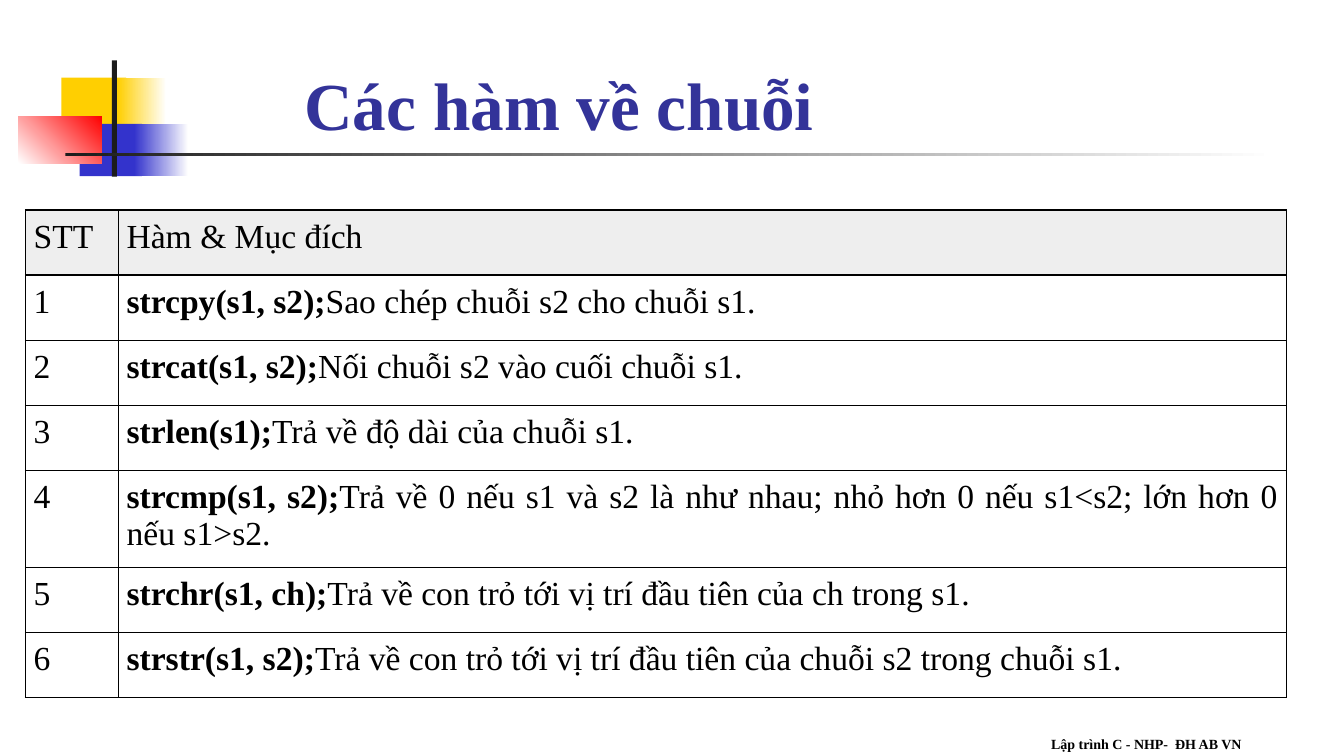
import pptx
import pptx.dml.color
import pptx.enum.shapes
import pptx.enum.text
import pptx.oxml
import pptx.oxml.ns
import pptx.util

Cm = pptx.util.Cm
ALIGN = pptx.enum.text.PP_ALIGN
ANCHOR = pptx.enum.text.MSO_ANCHOR

FUNCTIONS = [
    ("strcpy(s1, s2);", "Sao chép chuỗi s2 cho chuỗi s1."),
    ("strcat(s1, s2);", "Nối chuỗi s2 vào cuối chuỗi s1."),
    ("strlen(s1);", "Trả về độ dài của chuỗi s1."),
    ("strcmp(s1, s2);", "Trả về 0 nếu s1 và s2 là như nhau; nhỏ hơn 0 nếu s1<s2; lớn hơn 0 nếu s1>s2."),
    ("strchr(s1, ch);", "Trả về con trỏ tới vị trí đầu tiên của ch trong s1."),
    ("strstr(s1, s2);", "Trả về con trỏ tới vị trí đầu tiên của chuỗi s2 trong chuỗi s1."),
]

DECORATION = [
    ((1.55, 1.96, 1.63, 1.32), ["FFCF01"], 0),
    ((2.97, 1.96, 1.22, 1.32), ["FFCF01", "FFFFFF"], 0),
    ((2.01, 3.12, 1.57, 1.32), ["3333CC"], 0),
    ((3.38, 3.12, 1.37, 1.32), ["3333CC", "FFFFFF"], 0),
    ((0.46, 2.93, 2.1, 1.18), ["FFFFFF", "FF0000"], 45),
    ((2.82, 1.52, 0.13, 2.93), ["1C1C1C"], 0),
    ((1.65, 3.86, 30.48, 0.08), ["1C1C1C", "FFFFFF"], 0),
]


def color(value):
    return pptx.dml.color.RGBColor.from_string(value)


def write(paragraph, text, size=24, fill="000000", bold=False, font="Times New Roman", align=ALIGN.LEFT):
    paragraph.alignment = align
    run = paragraph.add_run()
    run.text = text
    run.font.name = font
    run.font.size = pptx.util.Pt(size)
    run.font.bold = bold
    run.font.color.rgb = color(fill)


class SlideBuilder:
    border = "000000"
    header_fill = "EEEEEE"
    cell_margin = Cm(0.21)

    def __init__(self, slide):
        self.slide = slide

    def block(self, box, colors, angle):
        shape = self.slide.shapes.add_shape(
            pptx.enum.shapes.MSO_SHAPE.RECTANGLE, *map(Cm, box))
        shape.shadow.inherit = False
        shape.line.fill.background()
        if len(colors) == 1:
            shape.fill.solid()
            shape.fill.fore_color.rgb = color(colors[0])
            return
        shape.fill.gradient()
        shape.fill.gradient_angle = angle
        for stop, value in zip(shape.fill.gradient_stops, colors):
            stop.color.rgb = color(value)

    def label(self, box, text, anchor=ANCHOR.TOP, **style):
        frame = self.slide.shapes.add_textbox(*map(Cm, box)).text_frame
        frame.word_wrap = True
        frame.vertical_anchor = anchor
        write(frame.paragraphs[0], text, **style)

    def cell(self, cell, runs, fill=None, align=ALIGN.LEFT):
        cell.margin_left = cell.margin_right = self.cell_margin
        cell.margin_top = cell.margin_bottom = self.cell_margin
        properties = cell._tc.get_or_add_tcPr()
        for side in "LRTB":
            properties.append(pptx.oxml.parse_xml(
                f'<a:ln{side} {pptx.oxml.ns.nsdecls("a")} w="12700"><a:solidFill>'
                f'<a:srgbClr val="{self.border}"/></a:solidFill></a:ln{side}>'))
        if fill:
            cell.fill.solid()
            cell.fill.fore_color.rgb = color(fill)
        else:
            cell.fill.background()
        for text, bold in runs:
            write(cell.text_frame.paragraphs[0], text, bold=bold, align=align)

    def function_table(self, left, top, widths, row_height, headers, functions):
        row_count = len(functions) + 1
        table = self.slide.shapes.add_table(
            row_count, len(widths), Cm(left), Cm(top),
            Cm(sum(widths)), Cm(row_height * row_count)).table
        table.first_row = table.horz_banding = False
        for column, width in zip(table.columns, widths):
            column.width = Cm(width)
        for row in table.rows:
            row.height = Cm(row_height)
        for index, header in enumerate(headers):
            self.cell(table.cell(0, index), [(header, False)], self.header_fill)
        for number, (call, purpose) in enumerate(functions, 1):
            self.cell(table.cell(number, 0), [(str(number), False)])
            self.cell(table.cell(number, 1), [(call, True), (purpose, False)], align=ALIGN.JUSTIFY)


def main():
    presentation = pptx.Presentation()
    presentation.slide_width = Cm(33.87)
    presentation.slide_height = Cm(19.05)
    builder = SlideBuilder(presentation.slides.add_slide(presentation.slide_layouts[6]))
    for box, colors, angle in DECORATION:
        builder.block(box, colors, angle)
    builder.label((26.24, 18.42, 7.34, 0.63), "Lập trình C - NHP-  ĐH AB VN", size=10, bold=True)
    builder.function_table(0.64, 5.29, [2.34, 29.44], 1.64, ["STT", "Hàm & Mục đích"], FUNCTIONS)
    builder.label((7.42, 1.47, 13.77, 2.29), "Các hàm về chuỗi ", ANCHOR.BOTTOM,
                  size=48, fill="333399", bold=True, align=ALIGN.CENTER)
    presentation.save("out.pptx")


if __name__ == "__main__":
    main()
